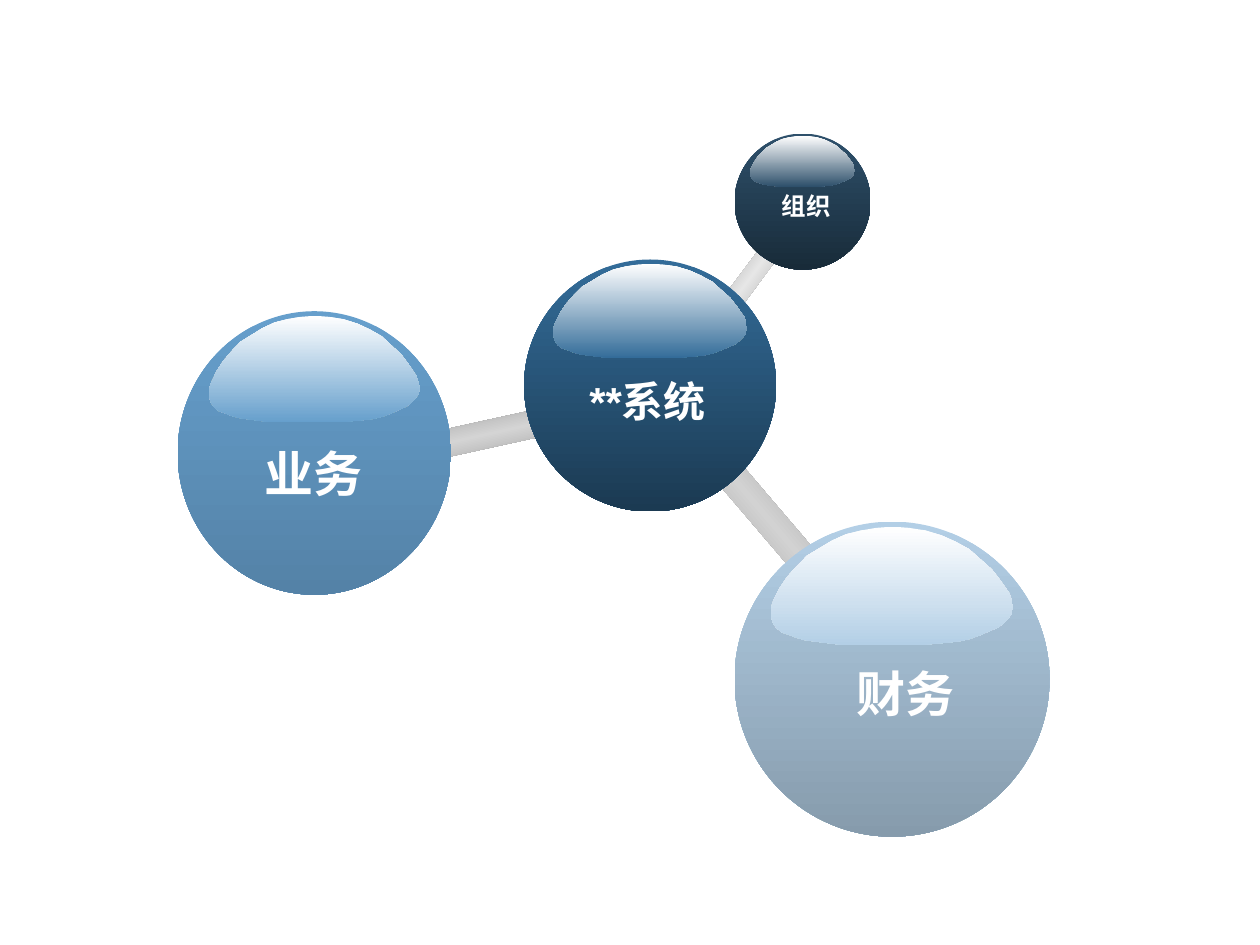
from dataclasses import dataclass

from pptx import Presentation
from pptx.dml.color import RGBColor
from pptx.enum.shapes import MSO_SHAPE
from pptx.enum.text import MSO_AUTO_SIZE, PP_ALIGN
from pptx.oxml.ns import qn
from pptx.util import Inches, Pt
from lxml import etree

RECTANGLE = MSO_SHAPE.RECTANGLE
OVAL = MSO_SHAPE.OVAL
CENTER = PP_ALIGN.CENTER
FIT_SHAPE = MSO_AUTO_SIZE.SHAPE_TO_FIT_TEXT

WHITE = "FFFFFF"
ROD_EDGE = "969696"

# Highlight position and size as shares of its sphere
GLOSS_LEFT, GLOSS_TOP, GLOSS_WIDTH, GLOSS_HEIGHT = 0.115, 0.016, 0.77, 0.376
# Highlight outline on a grid of 193 by 94 units
GLOSS_GRID = (193, 94)
GLOSS_OUTLINE = [
    (190, 53), (192, 59), (193, 64), (192, 69), (189, 73), (185, 77),
    (181, 80), (174, 83), (167, 86), (159, 89), (150, 91), (141, 92),
    (130, 93), (120, 94), (69, 94), (59, 94), (50, 93), (42, 92),
    (34, 91), (27, 90), (20, 88), (15, 86), (9, 84), (5, 81), (2, 77),
    (1, 74), (0, 70), (0, 65), (2, 59), (7, 49), (13, 40), (21, 31),
    (29, 23), (39, 17), (49, 11), (60, 6), (72, 3), (84, 1), (97, 0),
    (110, 1), (123, 3), (136, 7), (147, 12), (158, 18), (167, 26),
    (176, 34), (183, 43),
]


@dataclass
class Box:
    left: float
    top: float
    width: float
    height: float

    def lengths(self):
        return [Inches(v) for v in (self.left, self.top, self.width, self.height)]


@dataclass
class Rod:
    box: Box
    rotation: float
    middle: str


@dataclass
class Sphere:
    box: Box
    color: str
    shade: int  # brightness of the lower edge, thousandths of a percent
    label: str
    label_box: Box
    size: int
    font: str = "Arial"
    wrap: bool = False


RODS = [
    Rod(Box(5.46, 3.96, 1.21, 0.24), 229.5, "D2D2D2"),
    Rod(Box(3, 3.39, 1.25, 0.22), 347.6, "D4D4D4"),
    Rod(Box(5.54, 2.18, 0.75, 0.16), 306.6, "E6E6E6"),
]
SPHERES = [
    Sphere(Box(4.16, 2.06, 2, 2), "336C99", 54118,
           "**系统", Box(4.57, 2.93, 1.14, 0.51), 24, wrap=True),
    Sphere(Box(5.83, 1.06, 1.08, 1.08), "2E506B", 54118,
           "组织", Box(6.1, 1.47, 0.6, 0.34), 14, font="DejaVu Sans"),
    Sphere(Box(1.41, 2.47, 2.17, 2.25), "669FCC", 82353,
           "业务", Box(1.99, 3.47, 0.99, 0.57), 28),
    Sphere(Box(5.83, 4.14, 2.5, 2.5), "B3CFE6", 74902,
           "财务", Box(6.69, 5.22, 0.99, 0.57), 28),
]


def rgb(color: str) -> RGBColor:
    return RGBColor.from_string(color)


def paint(shape, colors: list[str], end_shade: int | None = None) -> None:
    """Fill from top to bottom with evenly spaced colours, without outline."""
    shape.shadow.inherit = False
    shape.line.fill.background()
    shape.fill.gradient()
    shape.fill.gradient_angle = 270
    stops = shape.element.spPr.find(qn("a:gradFill")).find(qn("a:gsLst"))
    for stop in list(stops):
        stops.remove(stop)
    for index, color in enumerate(colors):
        position = round(100000 * index / (len(colors) - 1))
        stop = etree.SubElement(stops, qn("a:gs"), pos=str(position))
        value = etree.SubElement(stop, qn("a:srgbClr"), val=str(rgb(color)))
    if end_shade is not None:
        etree.SubElement(value, qn("a:gamma"))
        etree.SubElement(value, qn("a:shade"), val=str(end_shade))
        etree.SubElement(value, qn("a:invGamma"))


def draw_rod(slide, rod: Rod) -> None:
    shape = slide.shapes.add_shape(RECTANGLE, *rod.box.lengths())
    shape.rotation = rod.rotation
    paint(shape, [ROD_EDGE, rod.middle, ROD_EDGE])


def draw_gloss(shapes, sphere: Sphere) -> None:
    box = sphere.box
    scale = (
        Inches(box.width * GLOSS_WIDTH) / GLOSS_GRID[0],
        Inches(box.height * GLOSS_HEIGHT) / GLOSS_GRID[1],
    )
    builder = shapes.build_freeform(*GLOSS_OUTLINE[0], scale=scale)
    builder.add_line_segments(GLOSS_OUTLINE[1:], close=True)
    gloss = builder.convert_to_shape(
        Inches(box.left + box.width * GLOSS_LEFT),
        Inches(box.top + box.height * GLOSS_TOP),
    )
    paint(gloss, [WHITE, sphere.color])


def draw_label(shapes, sphere: Sphere) -> None:
    text_frame = shapes.add_textbox(*sphere.label_box.lengths()).text_frame
    text_frame.word_wrap = sphere.wrap
    text_frame.auto_size = FIT_SHAPE
    text_frame.text = sphere.label
    paragraph = text_frame.paragraphs[0]
    paragraph.alignment = CENTER
    font = paragraph.runs[0].font
    font.name = sphere.font
    font.size = Pt(sphere.size)
    font.bold = True
    font.color.rgb = rgb(WHITE)


def draw_sphere(slide, sphere: Sphere) -> None:
    shapes = slide.shapes.add_group_shape().shapes
    ball = shapes.add_shape(OVAL, *sphere.box.lengths())
    paint(ball, [sphere.color, sphere.color], sphere.shade)
    draw_gloss(shapes, sphere)
    draw_label(shapes, sphere)


def main() -> None:
    presentation = Presentation()
    presentation.slide_width = Inches(10)
    presentation.slide_height = Inches(7.5)
    slide = presentation.slides.add_slide(presentation.slide_layouts[6])
    for rod in RODS:
        draw_rod(slide, rod)
    for sphere in SPHERES:
        draw_sphere(slide, sphere)
    presentation.save("out.pptx")


if __name__ == "__main__":
    main()
